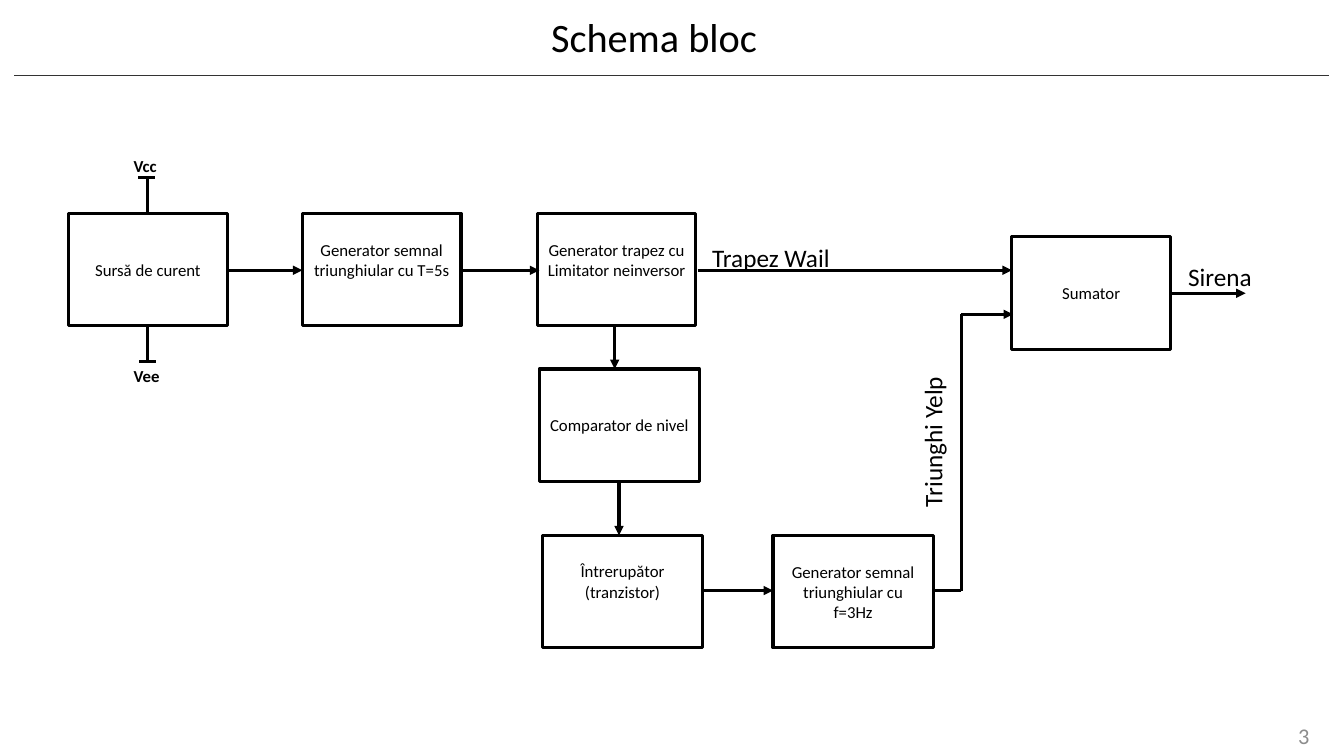
from lxml import etree
from pptx import Presentation
from pptx.dml.color import RGBColor
from pptx.enum.shapes import MSO_CONNECTOR, MSO_SHAPE
from pptx.enum.text import MSO_ANCHOR, PP_ALIGN
from pptx.oxml.ns import qn
from pptx.util import Cm, Pt

RECT = MSO_SHAPE.RECTANGLE
STRAIGHT = MSO_CONNECTOR.STRAIGHT
LEFT, CENTER, RIGHT = PP_ALIGN.LEFT, PP_ALIGN.CENTER, PP_ALIGN.RIGHT
TOP, MIDDLE = MSO_ANCHOR.TOP, MSO_ANCHOR.MIDDLE
COLORS = {"ink": "000000", "rule": "333333", "number": "8C8C8C"}

prs = Presentation()
prs.slide_width, prs.slide_height = Cm(33.87), Cm(19.05)
s = prs.slides.add_slide(prs.slide_layouts[6])


def add_text(sp, text, size=12, color="ink", bold=False, align=CENTER, anchor=MIDDLE, spacing=1.0):
    tf = sp.text_frame
    tf.word_wrap = True
    tf.vertical_anchor = anchor
    tf.text = text
    for p in tf.paragraphs:
        p.alignment = align
        p.line_spacing = spacing
        for r in p.runs:
            r.font.name = "Calibri"
            r.font.size = Pt(size)
            r.font.bold = bold
            r.font.color.rgb = RGBColor.from_string(COLORS[color])


def add_line(x1, y1, x2, y2, width=2.25, color="ink", arrow=False):
    cx = s.shapes.add_connector(STRAIGHT, Cm(x1), Cm(y1), Cm(x2), Cm(y2))
    cx.line.width = Pt(width)
    cx.line.color.rgb = RGBColor.from_string(COLORS[color])
    if arrow:
        etree.SubElement(cx.line._get_or_add_ln(), qn("a:tailEnd"), type="triangle")
    etree.SubElement(cx._element.spPr, qn("a:effectLst"))


add_line(0.36, 1.91, 33.5, 1.91, width=1, color="rule")
title = s.shapes.add_textbox(Cm(1.88), Cm(0.38), Cm(29.21), Cm(1.24))
add_text(title, "Schema bloc", size=28.8, spacing=0.9)
number = s.shapes.add_textbox(Cm(25.63), Cm(18.03), Cm(7.62), Cm(1.02))
add_text(number, "3", size=16, color="number", align=RIGHT)

blocks = [
    ("Sursă de curent", 1.73, 5.38, 4.0, False),
    ("Generator semnal triunghiular cu T=5s", 7.62, 5.38, 4.0, True),
    ("Generator trapez cu\nLimitator neinversor", 13.54, 5.38, 4.0, True),
    ("Sumator", 25.5, 5.97, 4.0, False),
    ("Comparator de nivel", 13.59, 9.3, 4.04, False),
    ("Întrerupător (tranzistor)", 13.67, 13.49, 4.04, True),
    ("Generator semnal triunghiular cu f=3Hz", 19.48, 13.49, 4.04, False),
]
for text, x, y, w, raised in blocks:
    sp = s.shapes.add_shape(RECT, Cm(x), Cm(y), Cm(w), Cm(2.83))
    sp.shadow.inherit = False
    sp.fill.background()
    sp.line.width = Pt(2.25)
    sp.line.color.rgb = RGBColor.from_string(COLORS["ink"])
    add_text(sp, text)
    if raised:
        sp.text_frame.margin_bottom = Cm(0.64)

arrows = [
    (5.72, 6.81, 7.62, 6.81),
    (11.68, 6.81, 13.59, 6.81),
    (17.58, 6.81, 25.5, 6.81),
    (15.49, 8.2, 15.49, 9.3),
    (15.6, 12.14, 15.6, 13.49),
    (17.7, 14.88, 19.48, 14.88),
    (24.23, 7.92, 25.53, 7.92),
    (29.49, 7.39, 31.39, 7.39),
]
for ends in arrows:
    add_line(*ends, arrow=True)

wires = [
    (3.71, 5.38, 3.71, 4.47),
    (3.48, 4.47, 3.91, 4.47),
    (3.71, 9.12, 3.71, 8.2),
    (3.51, 9.12, 3.94, 9.12),
    (24.23, 7.92, 24.23, 14.88),
    (24.23, 14.88, 23.52, 14.88),
]
for ends in wires:
    add_line(*ends)

labels = [
    ("Vcc", 3.12, 3.81, 1.5, 0.76, 12, True, "horz"),
    ("Vee", 3.12, 9.09, 1.5, 0.76, 12, True, "horz"),
    ("Sirena", 29.69, 6.45, 2.46, 1.02, 18, False, "horz"),
    ("Trapez Wail", 17.7, 5.97, 4.88, 1.02, 18, False, "horz"),
    ("Triunghi Yelp", 22.99, 9.04, 1.27, 3.99, 18, False, "vert270"),
]
for text, x, y, w, h, size, bold, direction in labels:
    sp = s.shapes.add_textbox(Cm(x), Cm(y), Cm(w), Cm(h))
    add_text(sp, text, size=size, bold=bold, align=LEFT, anchor=TOP)
    sp._element.txBody.bodyPr.set("vert", direction)

prs.save("out.pptx")
